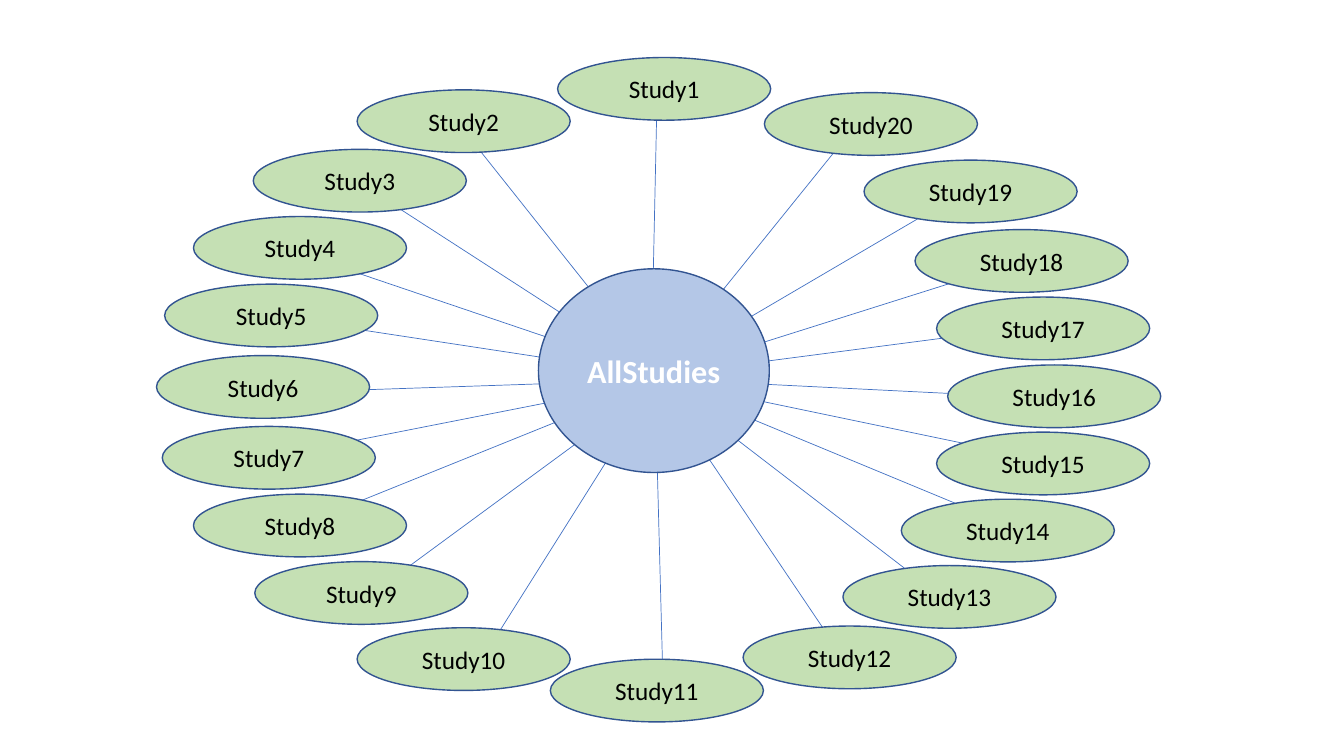
"""Build a hub-and-spoke slide linking twenty studies to AllStudies."""
from lxml.etree import SubElement
from pptx import Presentation
from pptx.dml.color import RGBColor
from pptx.enum.shapes import MSO_CONNECTOR as CONN, MSO_SHAPE as SHAPE
from pptx.enum.text import MSO_ANCHOR as ANCHOR, PP_ALIGN as ALIGN
from pptx.oxml.ns import qn
from pptx.util import Pt

COLORS = {"spoke": "4472C4", "outline": "325491", "hub": "B4C7E7",
          "study": "C5E0B4", "hub_text": "FFFFFF", "study_text": "000000"}
RGB = {name: RGBColor.from_string(value) for name, value in COLORS.items()}
STUDY_SIZE = (152.2, 44.8)
HUB_BOX = (384.6, 192, 164.9, 145.5)

STUDIES_CORNER_START_END = [
    ((398.3, 41.1), (469.4, 66.2), (465.1, 267.1)),
    ((255.1, 64.2), (328.3, 89.3), (468, 265)),
    ((180.9, 106.7), (254.2, 128.9), (468, 267.1)),
    ((138.2, 154.7), (215.3, 181.4), (468, 267.1)),
    ((117.6, 203), (204.5, 227.5), (469.4, 267.8)),
    ((111.8, 254), (189.4, 280.8), (469.4, 271.4)),
    ((115.9, 304.6), (187.9, 327.6), (469.4, 272.2)),
    ((138.2, 353), (214.6, 375.1), (468, 272.9)),
    ((182, 401.2), (257.8, 429.8), (469.4, 274.3)),
    ((255.1, 448.4), (344.2, 470.9), (468, 274.3)),
    ((393.1, 470.9), (473.8, 495.4), (468, 277.9)),
    ((530.8, 447.2), (601.9, 469.4), (469.4, 272.9)),
    ((602.1, 404), (668.9, 423.4), (473.8, 273.6)),
    ((643.8, 356.6), (720, 375.1), (468, 270.7)),
    ((669, 308.7), (754.6, 330.5), (470.9, 271.4)),
    ((676.9, 260.7), (745.2, 284.4), (470.2, 270.7)),
    ((669, 212.2), (736.6, 233.3), (472.3, 267.8)),
    ((653.6, 164), (720, 189.4), (473.8, 267.1)),
    ((617.2, 114.4), (687.6, 137.5), (470.2, 265)),
    ((546, 66.2), (612.7, 87.8), (470.9, 263.5)),
]


def add_oval(s, text, box, kind, font):
    sp = s.shapes.add_shape(SHAPE.OVAL, *map(Pt, box))
    sp.shadow.inherit = False
    sp.fill.solid()
    sp.fill.fore_color.rgb = RGB[kind]
    sp.line.color.rgb = RGB["outline"]
    sp.line.width = Pt(1)
    tf = sp.text_frame
    tf.vertical_anchor = ANCHOR.MIDDLE
    p = tf.paragraphs[0]
    p.alignment = ALIGN.CENTER
    r = p.add_run()
    r.text = text
    for key, value in font.items():
        setattr(r.font, key, value)
    r.font.color.rgb = RGB[f"{kind}_text"]


prs = Presentation()
prs.slide_width, prs.slide_height = Pt(960), Pt(540)
s = prs.slides.add_slide(prs.slide_layouts[6])

for corner, start, end in STUDIES_CORNER_START_END:
    spoke = s.shapes.add_connector(CONN.STRAIGHT, *map(Pt, start + end))
    spoke.line.color.rgb = RGB["spoke"]
    spoke.line.width = Pt(0.5)
    SubElement(spoke._element.spPr, qn("a:effectLst"))

add_oval(s, "AllStudies", HUB_BOX, "hub",
         {"name": "Calibri", "size": Pt(23), "bold": True})

for number, (corner, start, end) in enumerate(STUDIES_CORNER_START_END, 1):
    add_oval(s, f"Study{number}", corner + STUDY_SIZE, "study",
             {"name": "Calibri", "size": Pt(18)})

prs.save("out.pptx")
